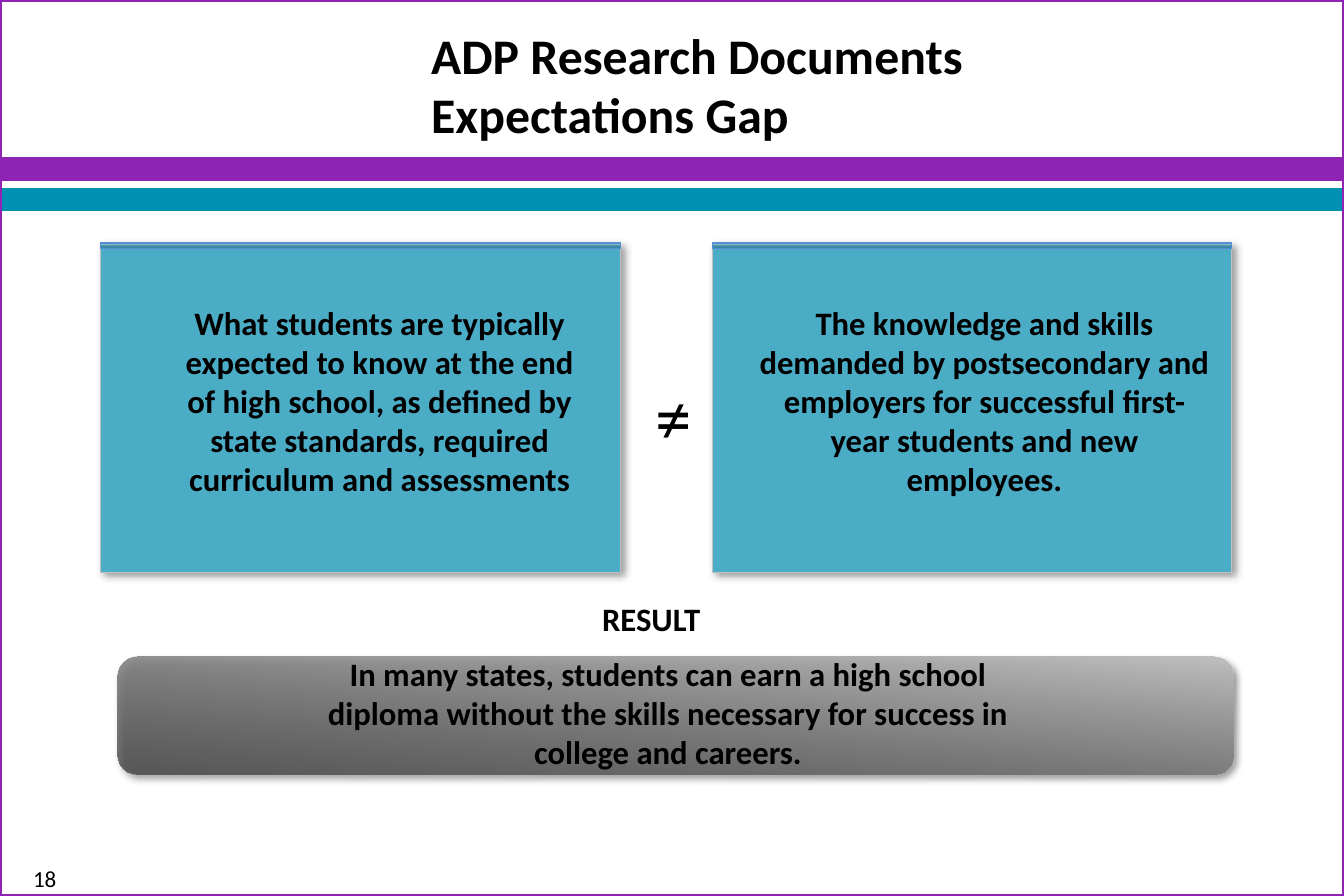
from lxml import etree
from pptx import Presentation
from pptx.dml.color import RGBColor
from pptx.enum.shapes import MSO_SHAPE
from pptx.enum.text import MSO_ANCHOR, PP_ALIGN
from pptx.oxml.ns import qn
from pptx.util import Inches, Pt

RECT, ROUND = MSO_SHAPE.RECTANGLE, MSO_SHAPE.ROUNDED_RECTANGLE
TOP, MIDDLE = MSO_ANCHOR.TOP, MSO_ANCHOR.MIDDLE
LEFT, CENTER = PP_ALIGN.LEFT, PP_ALIGN.CENTER

COLORS = {
    "purple": "8F23B3", "teal": "0091B2", "card": "4BACC6",
    "edge": "BFBFBF", "strip": "558ED5", "deep": "3B88A5",
    "pale": "B7DEE8", "dark": "3C3C3C", "black": "000000",
}

PAIR = [
    (0.9, (1.45, 3.88), "What students are typically expected to know at the "
     "end of high school, as defined by state standards, required curriculum "
     "and assessments"),
    (6.36, (6.64, 4.3), "The knowledge and skills demanded by postsecondary "
     "and employers for successful first-year students and new employees."),
]
OUTCOME = [
    "In many states, students can earn a high school",
    "diploma without the skills necessary for success in",
    "college and careers.",
]


def color(name):
    return RGBColor.from_string(COLORS[name])


def add_block(shapes, box, fill=None, line=None, width=0.75, kind=RECT):
    block = shapes.add_shape(kind, *map(Inches, box))
    block.shadow.inherit = False
    if fill:
        block.fill.solid()
        block.fill.fore_color.rgb = color(fill)
    else:
        block.fill.background()
    if line:
        block.line.color.rgb = color(line)
        block.line.width = Pt(width)
    else:
        block.line.fill.background()
    return block


def blend(block, stops, angle):
    """Fill with (position, color) stops; the angle runs counter-clockwise."""
    block.fill.gradient()
    block.fill.gradient_angle = angle
    for stop, (place, name) in zip(block.fill.gradient_stops, stops):
        stop.position = place
        stop.color.rgb = color(name)


def cast(block, alpha, blur, dist):
    """Add an outer shadow falling to the lower right."""
    effects = block._element.spPr.find(qn("a:effectLst"))
    shade = etree.SubElement(
        effects, qn("a:outerShdw"), blurRad=str(Pt(blur)), dist=str(Pt(dist)),
        dir="2700000", algn="tl", rotWithShape="0")
    tint = etree.SubElement(shade, qn("a:srgbClr"), val=COLORS["black"])
    etree.SubElement(tint, qn("a:alpha"), val=str(alpha * 1000))


def write(frame, lines, size, bold=True, align=CENTER, anchor=TOP,
          pad=(0.12, 0.06)):
    side, end = map(Inches, pad)
    style = {"word_wrap": True, "vertical_anchor": anchor,
             "margin_left": side, "margin_right": side,
             "margin_top": end, "margin_bottom": end}
    for name, value in style.items():
        setattr(frame, name, value)
    frame.text = "\n".join(lines)
    face = {"name": "Calibri", "size": Pt(size), "bold": bold}
    for part in frame.paragraphs:
        part.alignment = align
        for name, value in face.items():
            setattr(part.font, name, value)
        part.font.color.rgb = color("black")


def add_text(slide, box, lines, size, **look):
    frame = slide.shapes.add_textbox(*map(Inches, box)).text_frame
    write(frame, lines, size, **look)


def add_title(slide):
    title = slide.shapes.title
    place = {"left": 3.75, "top": 0, "width": 8, "height": 1.5}
    for name, value in place.items():
        setattr(title, name, Inches(value))
    write(title.text_frame, ["ADP Research Documents\vExpectations Gap"], 32,
          align=LEFT, anchor=MIDDLE, pad=(0.1, 0.05))


def add_card(slide, left):
    shapes = slide.shapes.add_group_shape().shapes
    card = add_block(shapes, (left, 2.17, 4.64, 2.94), "card", "edge")
    cast(card, 40, 5, 3)
    strip = add_block(shapes, (left, 2.17, 4.64, 0.05), line="strip")
    blend(strip, [(0.44, "deep"), (1, "pale")], 90)


def add_bar(slide):
    bar = add_block(slide.shapes, (1.05, 5.86, 9.96, 1.06), kind=ROUND)
    blend(bar, [(0, "dark"), (1, "edge")], 85)
    first = next(bar._element.spPr.iter(qn("a:srgbClr")))
    etree.SubElement(first, qn("a:alpha"), val="75000")
    cast(bar, 43, 4, 3)


def main():
    deck = Presentation()
    deck.slide_width, deck.slide_height = Inches(12), Inches(8)
    slide = deck.slides.add_slide(deck.slide_layouts[5])

    for top, name in [(1.42, "purple"), (1.69, "teal")]:
        add_block(slide.shapes, (0, top, 12, 0.18), name, name, 2)
    add_block(slide.shapes, (0, 0, 12, 8), line="purple", width=2.25)
    add_title(slide)

    for left, (start, width), words in PAIR:
        add_card(slide, left)
        add_text(slide, (start, 2.64, width, 1.89), [words], 21)
    add_text(slide, (5.73, 3.25, 0.39, 0.91), ["≠"], 47, bold=False,
             anchor=MIDDLE)

    add_text(slide, (1.11, 5.29, 9.41, 0.47), ["RESULT"], 21)
    add_bar(slide)
    add_text(slide, (1.05, 5.88, 9.83, 0.96), OUTCOME, 21, anchor=MIDDLE,
             pad=(0.47, 0.07))
    add_text(slide, (0, 7.66, 0.8, 0.34), ["18"], 14.8, bold=False,
             pad=(0.11, 0.06))
    deck.save("out.pptx")


if __name__ == "__main__":
    main()
